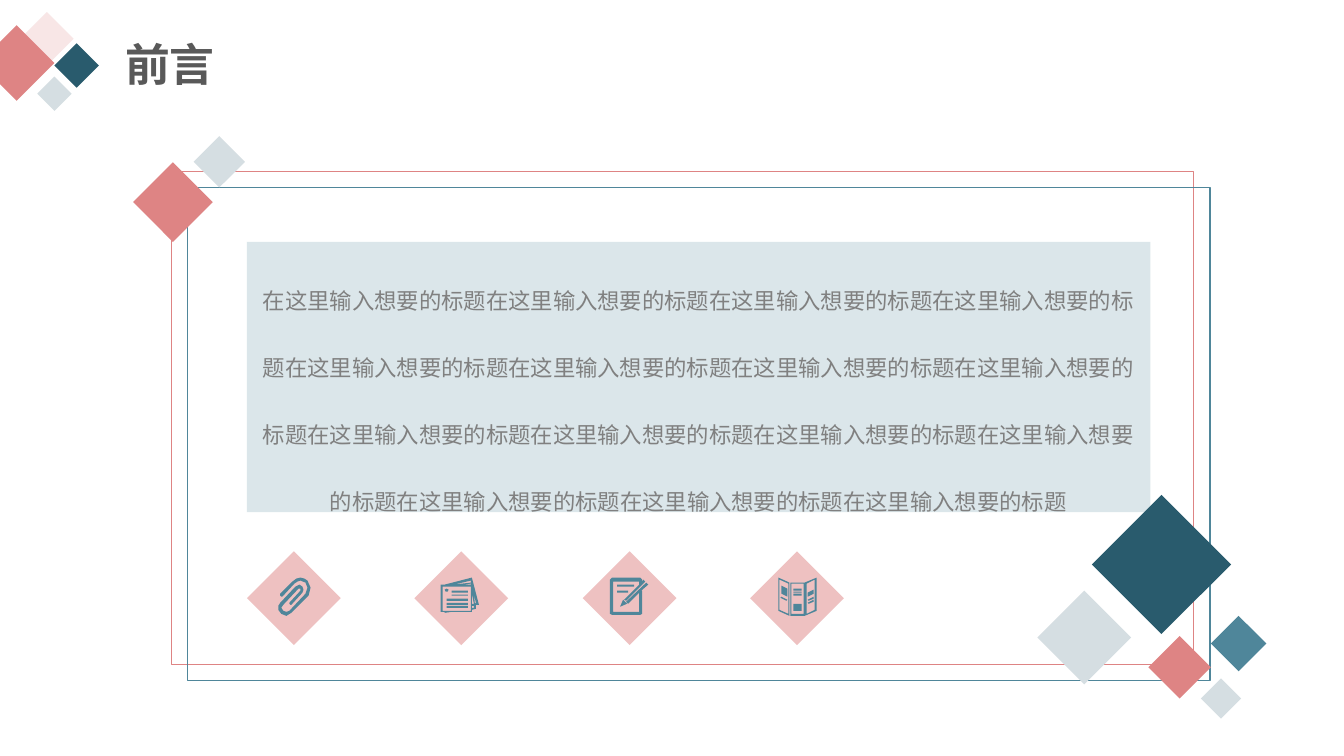
import dataclasses
import pptx
import pptx.util
import pptx.dml.color
import pptx.enum.shapes
import pptx.enum.text
import lxml.etree
import pptx.oxml.ns

PX = 9144  # 100 px to the inch
KIND = pptx.enum.shapes.MSO_SHAPE
ALIGN = pptx.enum.text.PP_ALIGN
FIT = pptx.enum.text.MSO_AUTO_SIZE
TOP = pptx.enum.text.MSO_ANCHOR.TOP


@dataclasses.dataclass(frozen=True)
class Theme:
    font: str = "Noto Sans CJK SC"
    rose: str = "DE8484"
    blush: str = "F8E6E6"
    navy: str = "295B6D"
    teal: str = "4F869A"
    mist: str = "D5DEE2"
    dark: str = "595959"
    gray: str = "808080"
    head: int = 32
    body: int = 16
    line: int = 1


THEME = Theme()


def bar(left, top, right, low):
    return [(left, top), (right, top), (right, low), (left, low)]


# Each icon is a list of outlines; nested outlines cut holes.
CLIP = [[
    (33, 10), (30, 3), (27, 1), (23, 0), (19, 1), (15, 4), (3, 16), (3, 18),
    (4, 19), (5, 19), (17, 6), (20, 4), (23, 3), (28, 5), (30, 10), (28, 16),
    (12, 33), (9, 34), (6, 33), (4, 30), (6, 27), (21, 11), (23, 11),
    (23, 13), (12, 25), (12, 26), (13, 27), (14, 27), (25, 15), (26, 12),
    (25, 9), (22, 7), (20, 8), (18, 9), (3, 25), (1, 28), (1, 32), (4, 36),
    (9, 38), (14, 35), (31, 18)]]
CARDS = [
    [(31, 0), (38, 27), (35, 27), (35, 31), (31, 32), (31, 34), (11, 34),
     (4, 35), (4, 34), (0, 34), (0, 7), (4, 7)],
    bar(2, 9, 30, 33),
    [(30, 6), (22, 7), (30, 7)],
    [(30, 3), (13, 7), (30, 5)],
    [(33, 16), (34, 26), (35, 25)],
    [(31, 16), (31, 26), (33, 26)],
    bar(31, 28, 33, 30),
    [(4, 12), (6, 11), (8, 12), (7, 14), (5, 14)],
    bar(11, 13, 27, 15), bar(11, 17, 27, 18), bar(6, 21, 27, 23),
    bar(6, 25, 27, 27), bar(6, 28, 27, 30)]
NOTE = [
    [(38, 7), (36, 5), (16, 24), (18, 26), (29, 15), (29, 34), (3, 34),
     (3, 4), (29, 4), (29, 7), (14, 22), (16, 23), (35, 4), (33, 2), (32, 4),
     (32, 2), (30, 0), (2, 0), (0, 2), (0, 36), (2, 37), (30, 37), (32, 36),
     (32, 13), (31, 13)],
    [(17, 26), (10, 29), (13, 22)],
    bar(7, 7, 24, 9), bar(7, 13, 18, 15)]
LEAFLET = [
    [(0, 0), (11, 5), (11, 38), (0, 33)],
    [(1, 2), (1, 32), (10, 36), (10, 6)],
    [(3, 8), (9, 11), (9, 19), (3, 16)],
    [(3, 19), (9, 22), (8, 23), (2, 20)],
    bar(12, 5, 26, 38), bar(13, 6, 25, 36), bar(15, 11, 23, 13),
    bar(15, 14, 23, 15), bar(15, 16, 23, 18), bar(15, 26, 23, 33),
    [(38, 0), (38, 33), (26, 38), (26, 5)],
    [(36, 2), (28, 6), (28, 36), (36, 32)],
    [(35, 12), (35, 16), (29, 19), (29, 15)],
    [(35, 19), (35, 21), (30, 23), (29, 22)],
    [(35, 22), (35, 24), (30, 26), (29, 25)]]


def rgb(code):
    return pptx.dml.color.RGBColor.from_string(code)


def paint(shape, color, alpha=100):
    """Fill a shape flat, with no outline or shadow; alpha is a percentage."""
    shape.shadow.inherit = False
    shape.line.fill.background()
    shape.fill.solid()
    shape.fill.fore_color.rgb = rgb(color)
    if alpha < 100:
        tint = shape.fill._xPr.find(".//" + pptx.oxml.ns.qn("a:srgbClr"))
        lxml.etree.SubElement(tint, pptx.oxml.ns.qn("a:alpha"),
                              val=str(alpha * 1000))


def add(slide, kind, box):
    return slide.shapes.add_shape(kind, *(n * PX for n in box))


def gem(slide, left, top, size, color, alpha=100):
    """Draw a square diamond."""
    paint(add(slide, KIND.DIAMOND, (left, top, size, size)), color, alpha)


def gems(slide, left, top, items):
    for x, y, size, color in items:
        gem(slide, left + x, top + y, size, color)


def write(shape, text, size, color, align, bold=False):
    frame = shape.text_frame
    frame.word_wrap = True
    frame.auto_size = FIT.SHAPE_TO_FIT_TEXT
    frame.vertical_anchor = TOP
    para = frame.paragraphs[0]
    para.alignment = align
    run = para.add_run()
    run.text = text
    run.font.size = pptx.util.Pt(size)
    run.font.bold = bold
    run.font.name = THEME.font
    run.font.color.rgb = rgb(color)
    lxml.etree.SubElement(run.font._element, pptx.oxml.ns.qn("a:ea"),
                          typeface=THEME.font)
    return para


def header(slide, left, top):
    gems(slide, left, top, [
        (75, 31, 44, THEME.navy), (41, 0, 53, THEME.blush),
        (0, 13, 75, THEME.rose), (58, 64, 34, THEME.mist)])
    title = slide.shapes.title
    title.left, title.top = (left + 135) * PX, (top + 19) * PX
    title.width, title.height = 443 * PX, 64 * PX
    para = write(title, "前言", THEME.head, THEME.dark, ALIGN.LEFT, True)
    para.line_spacing = 1.0


def border(slide, left, top, wide, high):
    """Draw two offset outlines with diamonds on opposite corners."""
    for step, color in ((0, THEME.rose), (16, THEME.teal)):
        rect = add(slide, KIND.RECTANGLE,
                   (left + step, top + step, wide, high))
        rect.shadow.inherit = False
        rect.fill.background()
        rect.line.color.rgb = rgb(color)
        rect.line.width = pptx.util.Pt(THEME.line)
    gems(slide, left, top, [(-38, -9, 79, THEME.rose),
                            (22, -35, 51, THEME.mist)])
    gems(slide, left + wide, top + high, [
        (-45, -28, 62, THEME.rose), (7, 14, 40, THEME.mist),
        (17, -48, 55, THEME.teal)])


def panel(slide, box):
    rect = add(slide, KIND.RECTANGLE, box)
    paint(rect, THEME.teal, 20)
    para = write(rect, "在这里输入想要的标题" * 15, THEME.body, THEME.gray,
                 ALIGN.CENTER)
    para.line_spacing = 2.5


def icon(slide, left, top, loops):
    first, *rest = loops
    form = slide.shapes.build_freeform(*first[0], scale=PX)
    form.add_line_segments(first[1:], close=True)
    for loop in rest:
        form.move_to(*loop[0])
        form.add_line_segments(loop[1:], close=True)
    paint(form.convert_to_shape(left * PX, top * PX), THEME.teal)


def icons(slide, left, top, wide):
    """Spread the icons evenly, each centred on its diamond."""
    size = 93
    marks = [(CLIP, 30), (CARDS, 26), (NOTE, 27), (LEAFLET, 28)]
    for i, (loops, inset) in enumerate(marks):
        x = left + round(i * (wide - size) / (len(marks) - 1))
        gem(slide, x, top, size, THEME.rose, 50)
        icon(slide, x + inset, top + 26, loops)


def main():
    deck = pptx.Presentation()
    deck.slide_width, deck.slide_height = 1333 * PX, 750 * PX
    slide = deck.slides.add_slide(deck.slide_layouts[5])
    header(slide, -21, 12)
    border(slide, 170, 170, 1014, 489)
    panel(slide, (245, 240, 896, 268))
    icons(slide, 245, 547, 592)
    gems(slide, 1029, 491, [(54, 0, 138, THEME.navy),
                            (0, 95, 93, THEME.mist)])
    deck.save("out.pptx")


if __name__ == "__main__":
    main()
